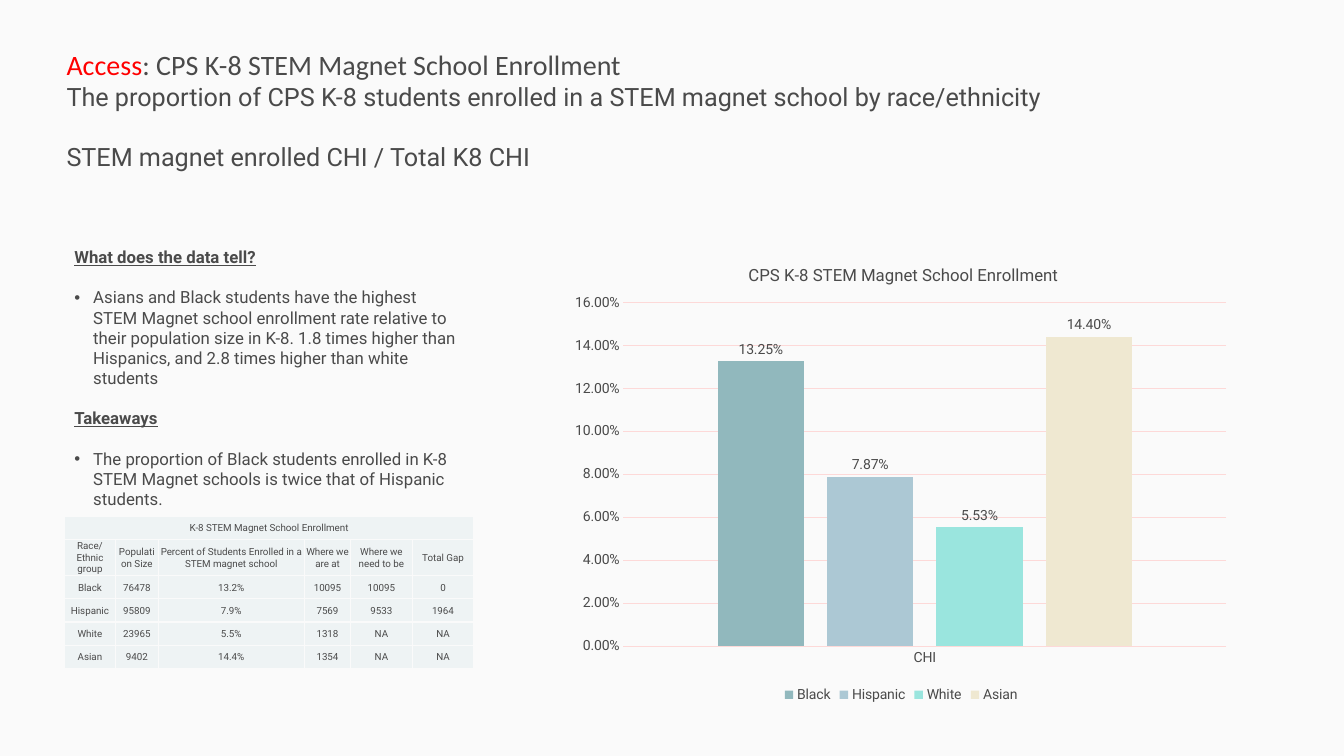
"""Build the slide on K-8 STEM magnet school enrollment by race and ethnicity."""
from dataclasses import dataclass

from lxml.etree import SubElement
from pptx import Presentation
from pptx.chart.chart import Chart
from pptx.chart.data import CategoryChartData
from pptx.dml.color import RGBColor
from pptx.enum.chart import XL_CHART_TYPE, XL_LABEL_POSITION, XL_LEGEND_POSITION, XL_TICK_MARK
from pptx.enum.text import MSO_ANCHOR, MSO_AUTO_SIZE, PP_ALIGN
from pptx.oxml import parse_xml
from pptx.oxml.ns import nsdecls, qn
from pptx.slide import Slide
from pptx.table import _Cell
from pptx.text.text import Font
from pptx.util import Pt

BACKGROUND = RGBColor(0xFA, 0xFA, 0xFA)
INK = RGBColor(0x4A, 0x4A, 0x4A)
ACCENT = RGBColor(0xFF, 0x00, 0x00)
GRID = RGBColor(0xFD, 0xD9, 0xD8)
CELL_FILL = RGBColor(0xEE, 0xF3, 0xF4)
BODY_FONT = "Roboto"
HEADING_FONT = "Calibri"
PERCENT = "0.00%"


@dataclass(frozen=True)
class Group:
    name: str
    rate: float
    color: RGBColor
    cells: tuple[str, ...]


@dataclass(frozen=True)
class Finding:
    heading: str
    detail: str


GROUPS = (
    Group("Black", 0.1325, RGBColor(0x91, 0xB8, 0xBD), ("76478", "13.2%", "10095", "10095", "0")),
    Group("Hispanic", 0.0787, RGBColor(0xAC, 0xC8, 0xD4), ("95809", "7.9%", "7569", "9533", "1964")),
    Group("White", 0.0553, RGBColor(0x9A, 0xE5, 0xDE), ("23965", "5.5%", "1318", "NA", "NA")),
    Group("Asian", 0.144, RGBColor(0xEF, 0xE8, 0xD1), ("9402", "14.4%", "1354", "NA", "NA")),
)
FINDINGS = (
    Finding("What does the data tell?",
            "Asians and Black students have the highest STEM Magnet school enrollment rate "
            "relative to their population size in K-8. 1.8 times higher than Hispanics, "
            "and 2.8 times higher than white students"),
    Finding("Takeaways",
            "The proportion of Black students enrolled in K-8 STEM Magnet schools "
            "is twice that of Hispanic students."),
)
TABLE_HEADINGS = ("Race/Ethnic group", "Population Size",
                  "Percent of Students Enrolled in a STEM magnet school",
                  "Where we are at", "Where we need to be", "Total Gap")
COLUMN_WIDTHS = (36.5, 30.5, 104.5, 33, 44, 44)
ROW_HEIGHT = 16.6


def style_font(font: Font, size: float, color: RGBColor = INK, name: str = BODY_FONT,
               strong: bool = False) -> None:
    font.size, font.name = Pt(size), name
    font.color.rgb = color
    font.bold = font.underline = strong


def add_heading(slide: Slide) -> None:
    title = slide.shapes.title
    title.left, title.top, title.width, title.height = Pt(40.3), Pt(30.2), Pt(880), Pt(97.2)
    frame = title.text_frame
    frame.auto_size = MSO_AUTO_SIZE.NONE
    frame.vertical_anchor = MSO_ANCHOR.TOP
    frame.text = ("Access\n"
                  "The proportion of CPS K-8 students enrolled in a STEM magnet school by race/ethnicity\n"
                  "STEM magnet enrolled CHI / Total K8 CHI")
    topic, measure, formula = frame.paragraphs
    topic.add_run().text = ": CPS K-8 STEM Magnet School Enrollment"
    for run, color in zip(topic.runs, (ACCENT, INK)):
        style_font(run.font, 20, color, HEADING_FONT)
    for paragraph in (measure, formula):
        style_font(paragraph.runs[0].font, 18)
    for paragraph in frame.paragraphs:
        paragraph.alignment = PP_ALIGN.LEFT
        paragraph.space_before = Pt(0)
    formula.space_before = Pt(21.5)


def add_findings(slide: Slide) -> None:
    frame = slide.shapes.add_textbox(Pt(46), Pt(172.8), Pt(292.5), Pt(167)).text_frame
    frame.word_wrap = True
    frame.text = "\n".join(text for finding in FINDINGS for text in (finding.heading, finding.detail))
    for index, paragraph in enumerate(frame.paragraphs):
        is_heading = index % 2 == 0
        style_font(paragraph.runs[0].font, 12, strong=is_heading)
        paragraph.space_before = Pt(14.4 if index else 0)
        if not is_heading:
            properties = paragraph._p.get_or_add_pPr()
            properties.set("marL", str(Pt(13.5)))
            properties.set("indent", str(-Pt(13.5)))
            SubElement(properties, qn("a:buFont")).set("typeface", "Arial")
            SubElement(properties, qn("a:buChar")).set("char", "•")


def fill_cell(cell: _Cell, text: str) -> None:
    cell.text = text
    cell.vertical_anchor = MSO_ANCHOR.MIDDLE
    cell.margin_left = cell.margin_right = cell.margin_top = Pt(0.7)
    cell.margin_bottom = Pt(0)
    paragraph = cell.text_frame.paragraphs[0]
    paragraph.alignment = PP_ALIGN.CENTER
    for run in paragraph.runs:
        style_font(run.font, 7)
    properties = cell._tc.get_or_add_tcPr()
    for side in ("lnL", "lnR", "lnT", "lnB"):
        properties.append(parse_xml(
            f'<a:{side} {nsdecls("a")} w="{Pt(1)}"><a:solidFill>'
            f'<a:srgbClr val="{BACKGROUND}"/></a:solidFill></a:{side}>'))
    cell.fill.solid()
    cell.fill.fore_color.rgb = CELL_FILL


def add_enrollment_table(slide: Slide) -> None:
    banner = ("K-8 STEM Magnet School Enrollment",) + ("",) * (len(TABLE_HEADINGS) - 1)
    rows = (banner, TABLE_HEADINGS, *((group.name, *group.cells) for group in GROUPS))
    table = slide.shapes.add_table(len(rows), len(COLUMN_WIDTHS), Pt(46), Pt(368.7),
                                   Pt(sum(COLUMN_WIDTHS)), Pt(ROW_HEIGHT * len(rows))).table
    table.first_row = table.horz_banding = False
    for column, width in zip(table.columns, COLUMN_WIDTHS):
        column.width = Pt(width)
    for row, texts in zip(table.rows, rows):
        row.height = Pt(ROW_HEIGHT)
        for cell, text in zip(row.cells, texts):
            fill_cell(cell, text)
    table.cell(0, 0).merge(table.cell(0, len(COLUMN_WIDTHS) - 1))


def layout_xml(inner: bool, **fractions: float) -> str:
    target = '<c:layoutTarget val="inner"/>' if inner else ""
    modes = "".join(f'<c:{key}Mode val="edge"/>' for key in ("x", "y"))
    values = "".join(f'<c:{key} val="{value}"/>' for key, value in fractions.items())
    return (f'<c:layout {nsdecls("c")}><c:manualLayout>{target}{modes}{values}'
            f'</c:manualLayout></c:layout>')


def place_chart_parts(chart: Chart) -> None:
    title = chart.chart_title._element
    plot_area = chart._chartSpace.chart.plotArea
    for part, position, layout in (
            (title, 1, layout_xml(False, x=0.27, y=0.04)),
            (plot_area, 0, layout_xml(True, x=0.09, y=0.13, w=0.89, h=0.74))):
        for automatic in part.findall(qn("c:layout")):
            part.remove(automatic)
        part.insert(position, parse_xml(layout))


def add_enrollment_chart(slide: Slide) -> None:
    data = CategoryChartData(number_format=PERCENT)
    data.categories = ["CHI"]
    for group in GROUPS:
        data.add_series(group.name, [group.rate])
    chart = slide.shapes.add_chart(XL_CHART_TYPE.COLUMN_CLUSTERED, Pt(401.8), Pt(172.8),
                                   Pt(483.8), Pt(332), data).chart
    style_font(chart.font, 10)
    chart.has_title = True
    heading = chart.chart_title.text_frame
    heading.text = "CPS K-8 STEM Magnet School Enrollment"
    style_font(heading.paragraphs[0].runs[0].font, 12)
    chart.has_legend = True
    chart.legend.position = XL_LEGEND_POSITION.BOTTOM
    chart.legend.include_in_layout = False
    style_font(chart.legend.font, 10)

    plot = chart.plots[0]
    plot.vary_by_categories = False
    plot.gap_width, plot.overlap = 219, -27
    for series, group in zip(plot.series, GROUPS):
        series.format.fill.solid()
        series.format.fill.fore_color.rgb = group.color
        labels = series.data_labels
        labels.show_value = True
        labels.position = XL_LABEL_POSITION.OUTSIDE_END
        labels.number_format, labels.number_format_is_linked = PERCENT, False
        style_font(labels.font, 10)

    rates, places = chart.value_axis, chart.category_axis
    rates.minimum_scale, rates.maximum_scale, rates.major_unit = 0, 0.16, 0.02
    rates.tick_labels.number_format, rates.tick_labels.number_format_is_linked = PERCENT, False
    rates.format.line.fill.background()
    for axis in (rates, places):
        axis.major_tick_mark = axis.minor_tick_mark = XL_TICK_MARK.NONE
        style_font(axis.tick_labels.font, 10)
    for line in (rates.major_gridlines.format.line, places.format.line):
        line.color.rgb = GRID
        line.width = Pt(0.75)
    place_chart_parts(chart)


def main() -> None:
    deck = Presentation()
    deck.slide_width, deck.slide_height = Pt(960), Pt(540)
    slide = deck.slides.add_slide(deck.slide_layouts[5])
    slide.background.fill.solid()
    slide.background.fill.fore_color.rgb = BACKGROUND
    add_heading(slide)
    add_enrollment_chart(slide)
    add_findings(slide)
    add_enrollment_table(slide)
    deck.save("out.pptx")


if __name__ == "__main__":
    main()
